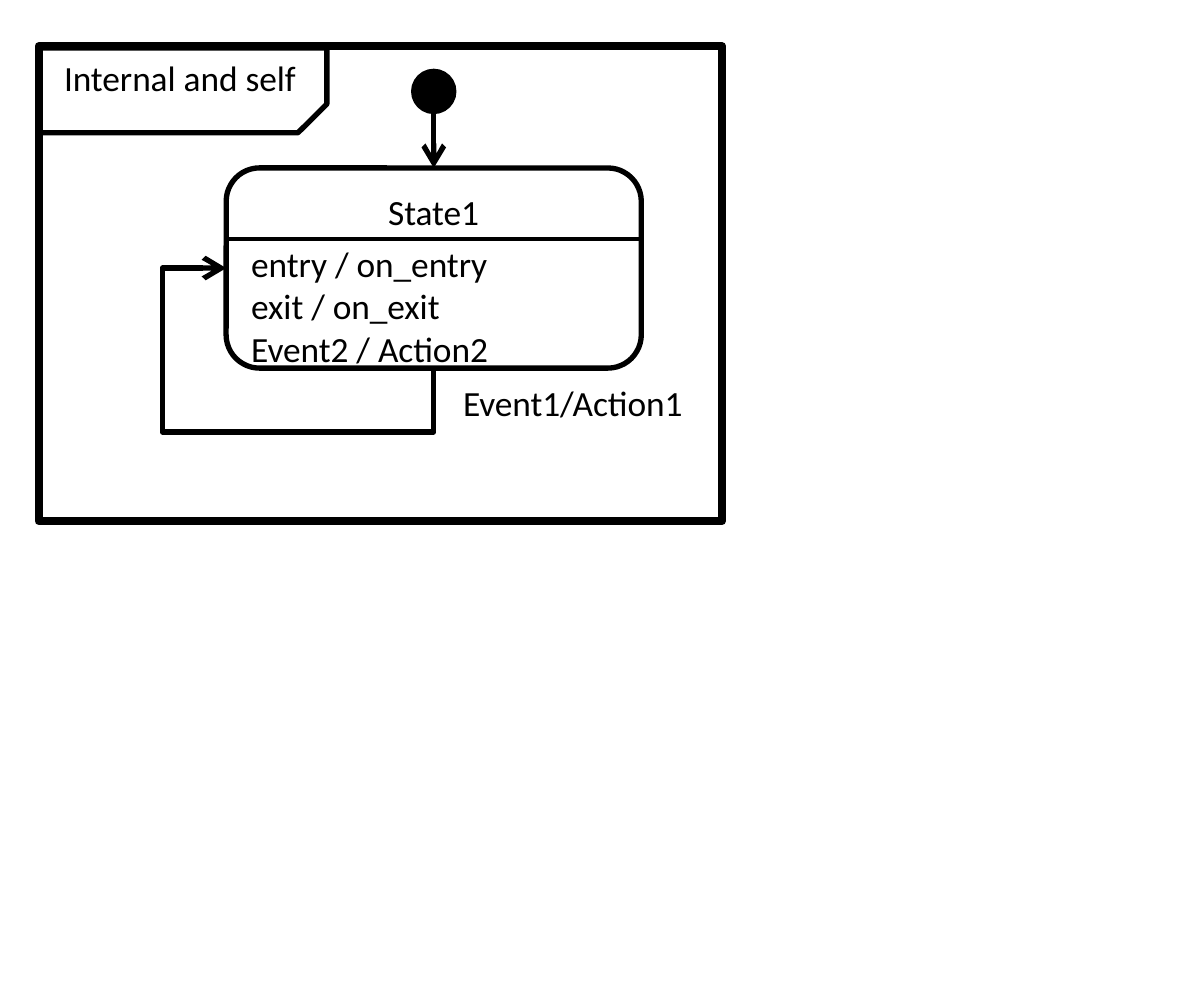
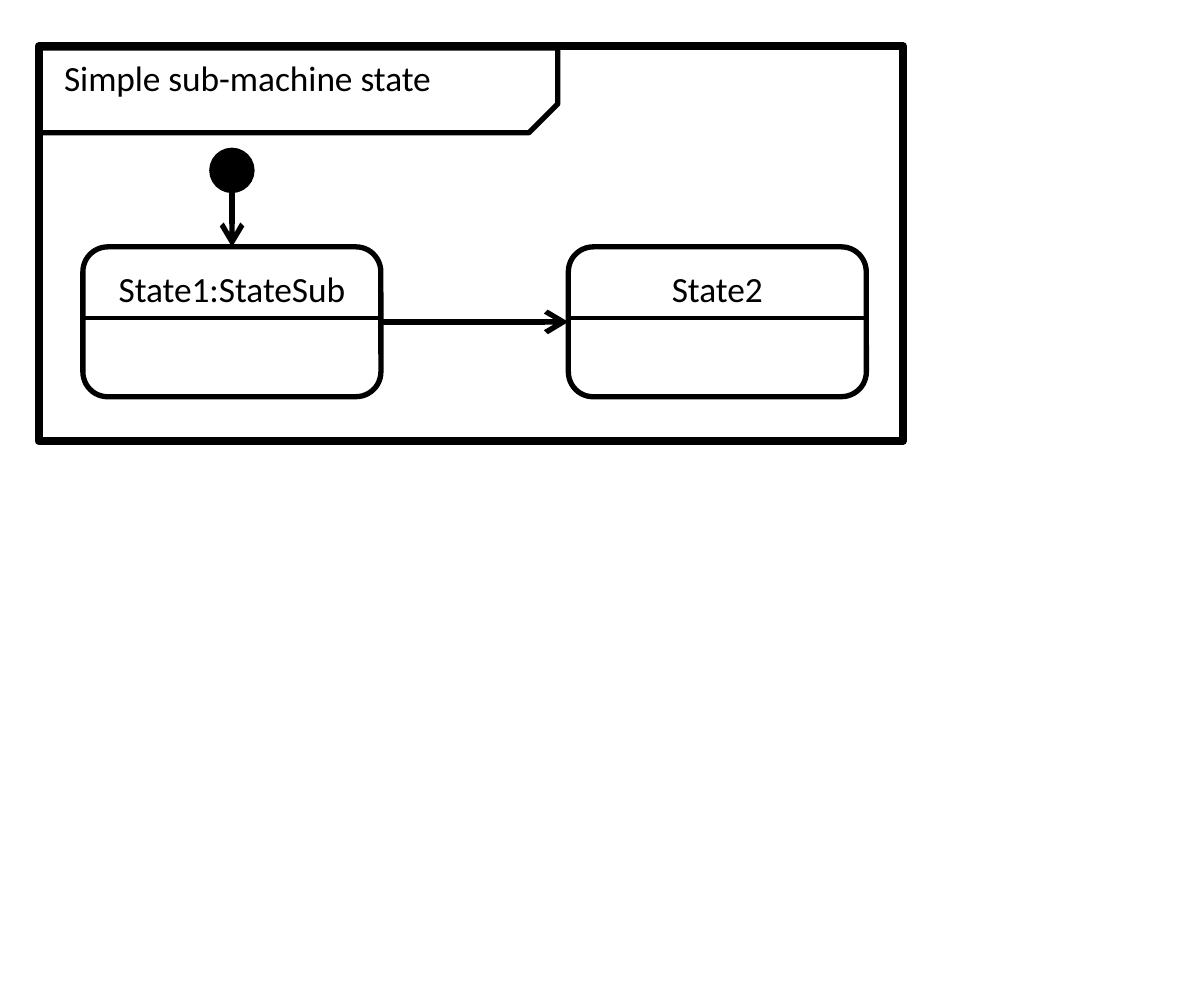
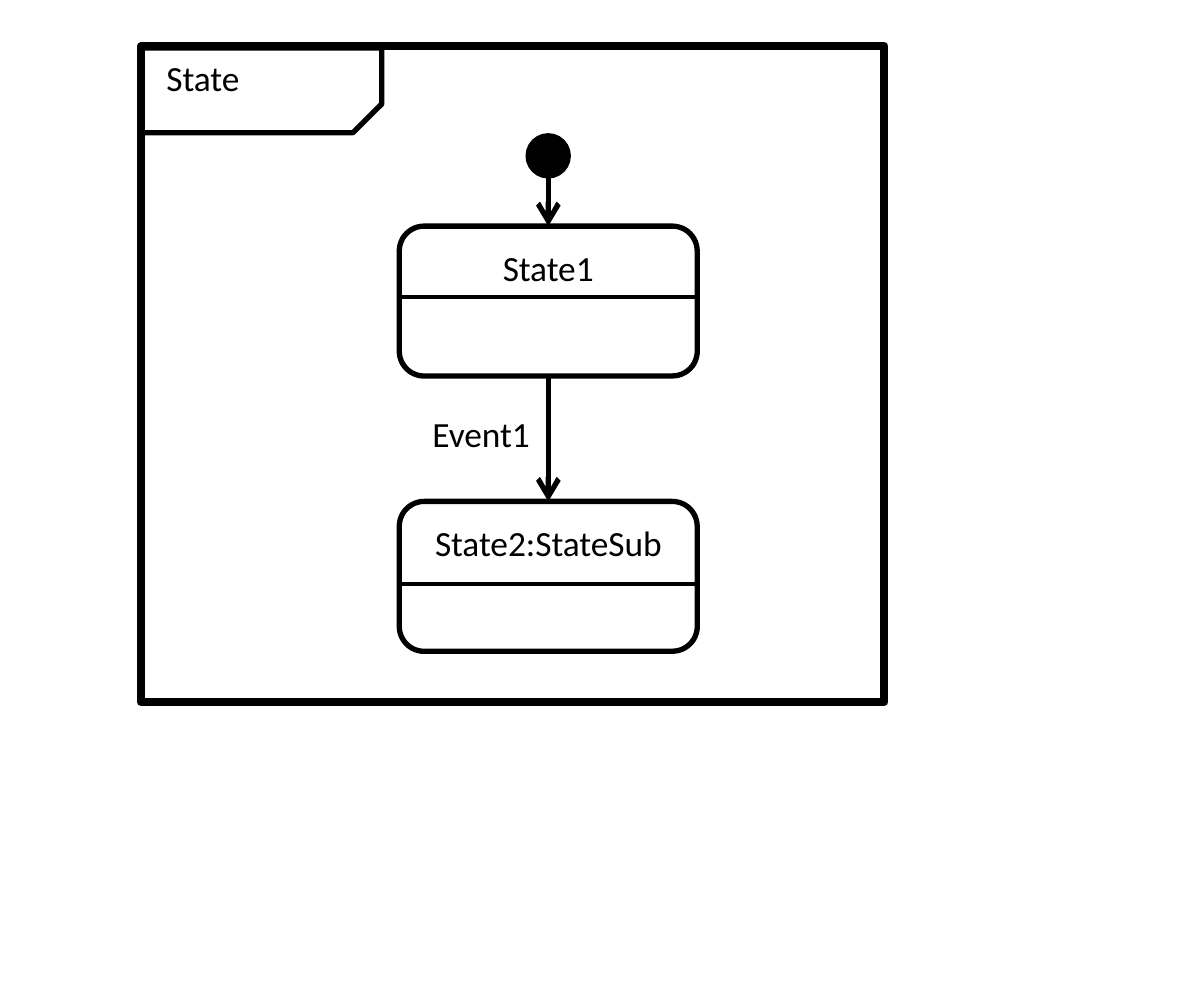
from collections import namedtuple

from lxml.etree import SubElement
from pptx import Presentation
from pptx.dml.color import RGBColor
from pptx.enum.shapes import MSO_CONNECTOR as LINE, MSO_SHAPE as SHAPE
from pptx.enum.text import MSO_ANCHOR as ANCHOR, MSO_AUTO_SIZE as FIT, PP_ALIGN as ALIGN
from pptx.oxml.ns import qn
from pptx.util import Inches, Pt

COLORS = {"ink": "000000", "paper": "FFFFFF"}
COLS, ROWS = 48, 40

Box = namedtuple("Box", "x y w h")


class Diagram:
    """State diagrams on a grid of COLS by ROWS cells, one per slide."""

    font, size = "Calibri", 10
    thin, medium, thick = 1, 1.5, 2.25
    frame_top, tab_top, tab_h = 1.84, 1.92, 3.38
    title_top, label_h = 1.73, 2.74
    dot = 1.6

    def __init__(self, prs):
        self.prs = prs
        self.s = None

    def col(self, n):
        return round(self.prs.slide_width * n / COLS)

    def row(self, n):
        return round(self.prs.slide_height * n / ROWS)

    def place(self, x, y, w, h):
        return self.col(x), self.row(y), self.col(w), self.row(h)

    def color(self, name):
        return RGBColor.from_string(COLORS[name])

    def stroke(self, sp, width):
        sp.line.color.rgb = self.color("ink")
        sp.line.width = Pt(width)

    def put_text(self, tf, lines, align=ALIGN.LEFT):
        tf.word_wrap = True
        tf.auto_size = FIT.NONE
        tf.vertical_anchor = ANCHOR.TOP
        for i, line in enumerate(lines):
            p = tf.paragraphs[0] if i == 0 else tf.add_paragraph()
            p.text = line
            p.alignment = align
            p.font.name, p.font.size = self.font, Pt(self.size)
            p.font.color.rgb = self.color("ink")

    def shape(self, kind, box, width, fill=None):
        sp = self.s.shapes.add_shape(kind, *self.place(*box))
        sp.shadow.inherit = False
        if fill:
            sp.fill.solid()
            sp.fill.fore_color.rgb = self.color(fill)
        else:
            sp.fill.background()
        self.stroke(sp, width)
        return sp

    def frame(self, title, x, w, h, tab_w):
        """Start a slide with its outer frame and the titled corner tab."""
        self.s = self.prs.slides.add_slide(self.prs.slide_layouts[5])
        self.s.background.fill.solid()
        self.s.background.fill.fore_color.rgb = self.color("paper")
        self.shape(SHAPE.RECTANGLE, Box(x, self.frame_top, w, h), self.thick)
        tab = self.shape(SHAPE.SNIP_1_RECTANGLE,
                         Box(x, self.tab_top, tab_w, self.tab_h), self.medium)
        tab.adjustments[0] = 0.34
        tab.element.spPr.xfrm.set("flipV", "1")
        sp = self.s.shapes.title
        sp.left, sp.top, sp.width, sp.height = self.place(
            x, self.title_top, tab_w + 1.2, self.label_h)
        self.put_text(sp.text_frame, [title])

    def label(self, lines, x, y, w, h=label_h):
        sp = self.s.shapes.add_textbox(*self.place(x, y, w, h))
        self.put_text(sp.text_frame, lines)

    def connector(self, kind, ends, width, arrow):
        c = self.s.shapes.add_connector(kind, *ends)
        self.stroke(c, width)
        if arrow:
            ln = c.element.spPr.find(qn("a:ln"))
            SubElement(ln, qn("a:tailEnd"), type="arrow")
        SubElement(c.element.spPr, qn("a:effectLst"))
        return c

    def line(self, x1, y1, x2, y2, width=medium, arrow=True):
        ends = self.col(x1), self.row(y1), self.col(x2), self.row(y2)
        self.connector(LINE.STRAIGHT, ends, width, arrow)

    def state(self, name, x, y, w=11.88, h=5.98, divider=2.83):
        box = Box(x, y, w, h)
        sp = self.shape(SHAPE.ROUNDED_RECTANGLE, box, self.medium)
        self.put_text(sp.text_frame, [name], ALIGN.CENTER)
        self.line(x, y + divider, x + w, y + divider, self.thin, arrow=False)
        return box

    def start(self, state, gap):
        """Initial dot above a state, with its arrow."""
        x, bottom = state.x + state.w / 2, state.y - gap
        self.shape(SHAPE.FLOWCHART_CONNECTOR,
                   Box(x - self.dot / 2, bottom - self.dot, self.dot, self.dot),
                   self.medium, "ink")
        self.line(x, bottom, x, state.y)

    def self_loop(self, state, reach):
        """Bent arrow from the bottom of a state round to its left side."""
        x1, y1 = self.col(state.x + state.w / 2), self.row(state.y + state.h)
        x2, y2 = self.col(state.x), self.row(state.y + state.h / 2)
        w, h = y1 - y2, x1 - x2  # sides before the quarter turn
        left, top = (x1 + x2 - w) // 2, (y1 + y2 - h) // 2
        c = self.connector(LINE.ELBOW, (left, top, left + w, top + h),
                           self.medium, True)
        xfrm = c.element.spPr.xfrm
        xfrm.set("rot", "5400000")
        xfrm.set("flipH", "1")
        geom = c.element.spPr.find(qn("a:prstGeom"))
        geom.set("prst", "bentConnector4")
        guides = geom.find(qn("a:avLst"))
        shares = -self.row(reach) / w, 1 + self.col(reach) / h
        for i, share in enumerate(shares, 1):
            SubElement(guides, qn("a:gd"), name=f"adj{i}",
                       fmla=f"val {round(share * 100000)}")


def internal_and_self(d):
    d.frame("Internal and self", 1.54, 27.25, 18.95, 11.5)
    state = d.state("State1", 9.02, 6.7, 16.55, 7.98)
    d.start(state, 2.25)
    d.label(["entry / on_entry", "exit / on_exit", "Event2 / Action2"],
            state.x, 9.14, state.w, 6.2)
    d.self_loop(state, 2.55)
    d.label(["Event1/Action1"], 17.46, 14.72, 11.4)


def simple_sub_machine(d):
    d.frame("Simple sub-machine state", 1.54, 34.46, 15.76, 20.7)
    first = d.state("State1:StateSub", 3.31, 9.85)
    second = d.state("State2", 22.66, 9.85)
    d.start(first, 2.25)
    middle = first.y + first.h / 2
    d.line(first.x + first.w, middle, second.x, middle)


def state_with_event(d):
    d.frame("State", 5.62, 29.64, 26.17, 9.6)
    first = d.state("State1", 15.92, 9.02)
    second = d.state("State2:StateSub", 15.92, 20, divider=3.29)
    d.start(first, 2)
    center = first.x + first.w / 2
    d.line(center, first.y + first.h, center, second.y)
    d.label(["Event1"], 16.24, 15.94, 9.6)


def main():
    prs = Presentation()
    prs.slide_width, prs.slide_height = Inches(4.73), Inches(3.94)
    d = Diagram(prs)
    for draw in (internal_and_self, simple_sub_machine, state_with_event):
        draw(d)
    prs.save("out.pptx")


if __name__ == "__main__":
    main()
